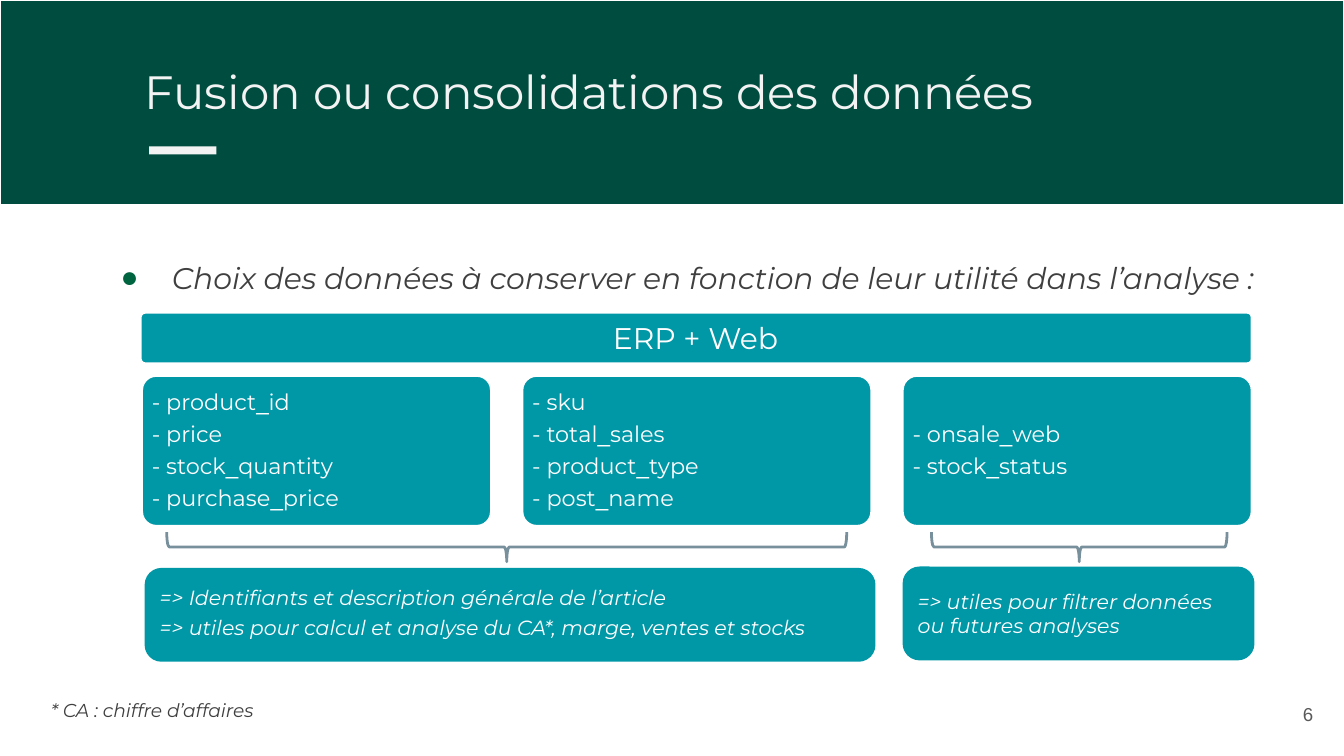
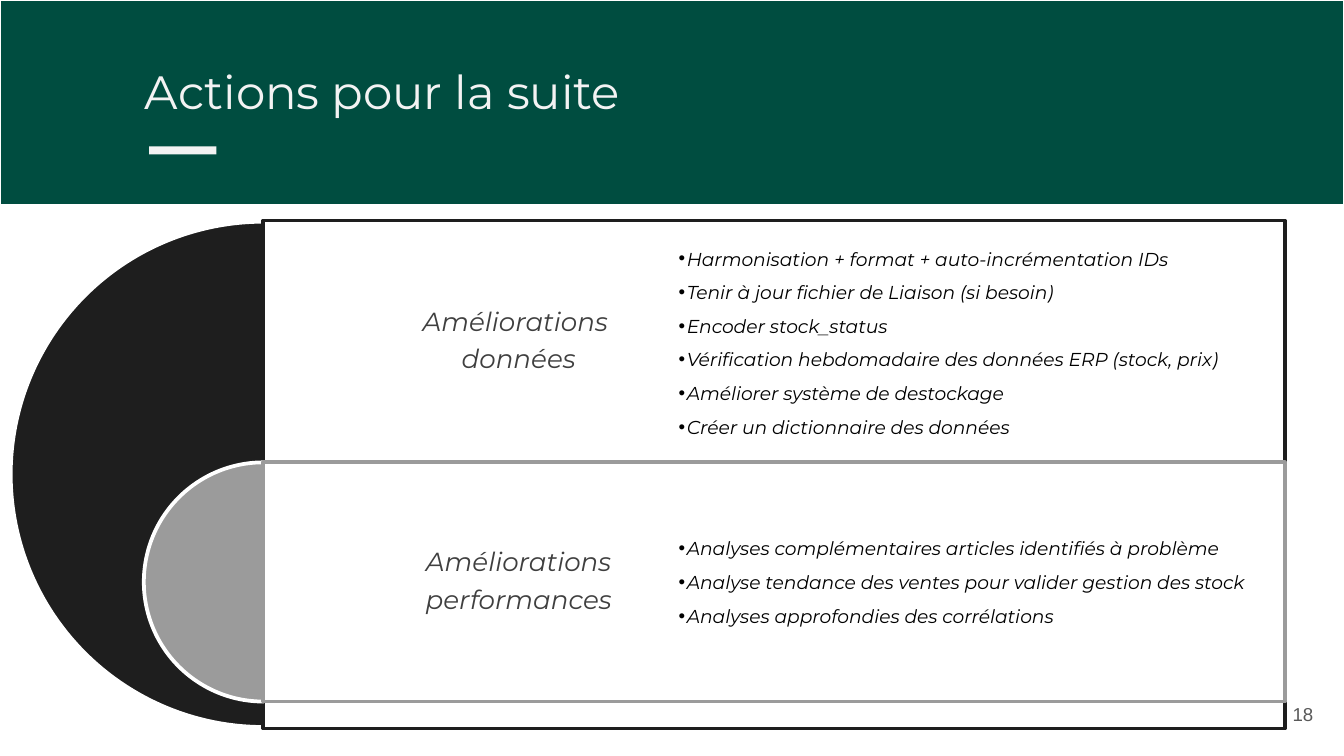
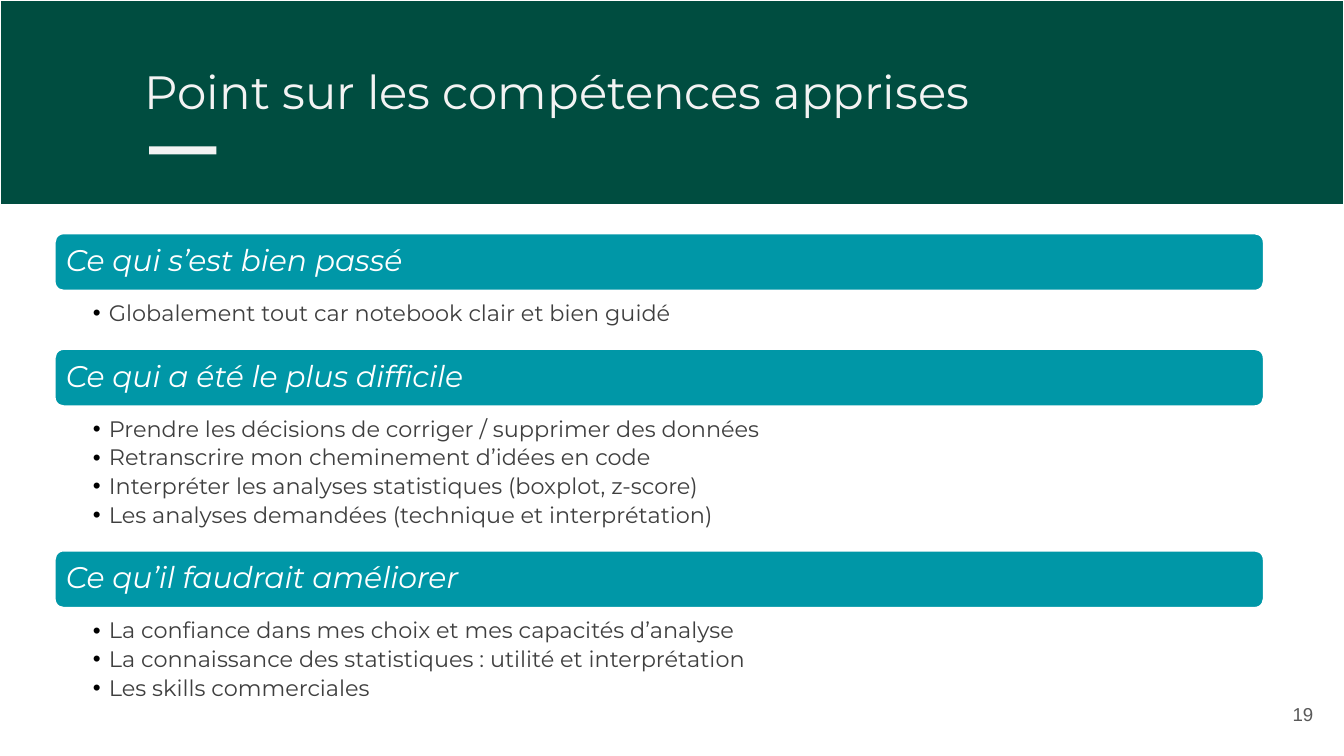
from lxml import etree
from pptx import Presentation
from pptx.dml.color import RGBColor
from pptx.enum.shapes import MSO_SHAPE
from pptx.enum.text import MSO_ANCHOR, PP_ALIGN
from pptx.oxml.ns import qn
from pptx.util import Pt

PX = 9144
WIDE = 1000
HIGH = WIDE * 9 / 16
RECT = MSO_SHAPE.RECTANGLE
ROUND = MSO_SHAPE.ROUNDED_RECTANGLE
PIE = MSO_SHAPE.PIE
BRACE = MSO_SHAPE.RIGHT_BRACE
TOP, MIDDLE = MSO_ANCHOR.TOP, MSO_ANCHOR.MIDDLE
LEFT, CENTER, RIGHT = PP_ALIGN.LEFT, PP_ALIGN.CENTER, PP_ALIGN.RIGHT

FONT, PLAIN = "Montserrat", "Arial"
GREEN, DOT, TEAL, SLATE = "004D40", "006440", "0097A7", "78909C"
WHITE, PALE, BLACK = "FFFFFF", "F3F3F3", "000000"
DARK, GREY, INK, FOOT = "1E1E1E", "9B9B9B", "3F3F3F", "595959"


def paint(hue):
    return RGBColor.from_string(hue)


def scale(box):
    return [round(side * PX) for side in box]


def draw(slide, kind, box, fill=None, line=None, width=2, adjust=(), alpha=None):
    shape = slide.shapes.add_shape(kind, *scale(box))
    shape.shadow.inherit = False
    if fill:
        shape.fill.solid()
        shape.fill.fore_color.rgb = paint(fill)
    else:
        shape.fill.background()
    if line:
        shape.line.color.rgb = paint(line)
        shape.line.width = Pt(width)
    else:
        shape.line.fill.background()
    for spot, value in enumerate(adjust):
        shape.adjustments[spot] = value
    if alpha:
        tone = shape.fill._xPr.find(".//" + qn("a:srgbClr"))
        etree.SubElement(tone, qn("a:alpha"), val=str(alpha * 1000))
    return shape


def mark(para, sign, hue, font, indent, hang):
    props = para._p.get_or_add_pPr()
    props.set("marL", str(indent * PX))
    props.set("indent", str(-hang * PX))
    tint = etree.SubElement(props, qn("a:buClr"))
    etree.SubElement(tint, qn("a:srgbClr"), val=hue)
    etree.SubElement(props, qn("a:buFont"), typeface=font)
    etree.SubElement(props, qn("a:buChar"), char=sign)


def write(slide, box, lines, size=12, hue=WHITE, font=FONT, italic=False,
          align=LEFT, anchor=TOP, pad=(10, 10, 10, 10), space=None, after=0,
          sign=None, tint=BLACK, indent=0, hang=0):
    frame = slide.shapes.add_textbox(*scale(box)).text_frame
    frame.word_wrap = True
    frame.vertical_anchor = anchor
    (frame.margin_left, frame.margin_top,
     frame.margin_right, frame.margin_bottom) = scale(pad)
    for row, line in enumerate(lines):
        para = frame.paragraphs[0] if row == 0 else frame.add_paragraph()
        if sign:
            mark(para, sign, tint, PLAIN, indent, hang)
        para.alignment = align
        para.space_after = Pt(after)
        if space:
            para.line_spacing = space
        for piece in line.replace("_", "|_|").split("|"):
            run = para.add_run()
            run.text = piece
            run.font.name = PLAIN if piece == "_" else font
            run.font.size = Pt(size)
            run.font.italic = italic
            run.font.color.rgb = paint(hue)


def start(deck, title, number):
    slide = deck.slides.add_slide(deck.slide_layouts[6])
    draw(slide, RECT, (0, 0, WIDE, 152), GREEN, WHITE, 0.75)
    write(slide, (98, 37, 932, 63), [title], size=25, hue=PALE)
    draw(slide, RECT, (111, 109, 50, 6), PALE)
    write(slide, (927, 510, 60, 43), [str(number)], size=10, hue=FOOT,
          font=PLAIN, align=RIGHT, anchor=MIDDLE)
    return slide


def card(slide, box, lines):
    x, y, w, h = box
    draw(slide, ROUND, box, TEAL, WHITE, adjust=[0.1])
    write(slide, (x + 3, y + 3, w - 6, h - 6), lines, anchor=MIDDLE,
          pad=[5] * 4, space=0.9, after=4.2)


def brace(slide, box):
    x, y, w, h = box
    turned = (x + (w - h) / 2, y + (h - w) / 2, h, w)
    draw(slide, BRACE, turned, line=SLATE, width=1.5,
         adjust=[0.083, 0.5]).rotation = 90


def note(slide, box, lines, drop):
    x, y, w, h = box
    draw(slide, ROUND, box, TEAL, TEAL)
    write(slide, (x, y + drop, w, h - 2 * drop), lines, size=11, italic=True,
          pad=(10, 5, 10, 5), after=3)


def merge(deck):
    slide = start(deck, "Fusion ou consolidations des données", 6)
    write(slide, (68, 179, 932, 374),
          ["Choix des données à conserver en fonction de leur utilité dans l’analyse :"],
          size=16, hue=INK, italic=True, space=1.15, sign="●", tint=DOT,
          indent=50, hang=38)
    write(slide, (28, 515, 692, 27), ["* CA : chiffre d’affaires"], size=10,
          hue=INK, italic=True, pad=(10, 5, 10, 5))
    draw(slide, ROUND, (104, 232, 828, 39), TEAL, WHITE, adjust=[0.1])
    write(slide, (105, 234, 825, 37), ["ERP + Web"], size=16, align=CENTER,
          anchor=MIDDLE, pad=[7] * 4, space=0.9, after=5.6)
    cards = [
        ["- product_id", "- price", "- stock_quantity", "- purchase_price"],
        ["- sku", "- total_sales", "- product_type", "- post_name"],
        ["- onsale_web", "- stock_status"],
    ]
    for column, lines in enumerate(cards):
        card(slide, (105 + 283 * column, 279, 261, 113), lines)
    brace(slide, (124, 396, 506, 22))
    brace(slide, (693, 396, 220, 22))
    note(slide, (109, 424, 541, 67),
         ["=> Identifiants et description générale de l’article",
          "=> utiles pour calcul et analyse du CA*, marge, ventes et stocks"], 6)
    note(slide, (673, 423, 259, 67),
         ["=> utiles pour filtrer données ou futures analyses"], 10)


def panel(slide, box, disc, hue, depth, label, points):
    x, y, w, h = box
    draw(slide, PIE, (x - disc / 2, y + (h - disc) / 2, disc, disc), hue, WHITE,
         adjust=[54, 162])
    draw(slide, RECT, box, WHITE, hue, alpha=90)
    write(slide, (x, y, w / 2, depth), label, size=14, hue=INK, italic=True,
          align=CENTER, anchor=MIDDLE, pad=[6] * 4, space=0.9, after=4.9)
    write(slide, (x + 282, y + depth - 178, 498, 178), points, size=10,
          hue=BLACK, italic=True, anchor=MIDDLE, pad=[27] * 4, after=6,
          sign="•", indent=6, hang=6)


def plan(deck):
    slide = start(deck, "Actions pour la suite", 18)
    panel(slide, (196, 164, 760, 378), 376, DARK, 180,
          ["Améliorations ", "données"],
          ["Harmonisation + format + auto-incrémentation IDs",
           "Tenir à jour fichier de Liaison (si besoin)",
           "Encoder stock_status",
           "Vérification hebdomadaire des données ERP (stock, prix)",
           "Améliorer système de destockage",
           "Créer un dictionnaire des données"])
    panel(slide, (196, 344, 760, 178), 178, GREY, 178,
          ["Améliorations", "performances"],
          ["Analyses complémentaires articles identifiés à problème",
           "Analyse tendance des ventes pour valider gestion des stock",
           "Analyses approfondies des corrélations"])


def topic(slide, box, title, points):
    x, y, w, h = box
    draw(slide, ROUND, box, TEAL, WHITE)
    write(slide, (x + 2, y + 2, w - 4, h - 4), [title], size=16, italic=True,
          anchor=MIDDLE, pad=[7] * 4, space=0.9, after=5.6)
    write(slide, (x, y + h + 6, w, 66), points, hue=INK, pad=(29, 2, 9, 2),
          space=0.9, after=2.4, sign="•", indent=12, hang=12)


def skills(deck):
    slide = start(deck, "Point sur les compétences apprises", 19)
    topics = [
        (173, "Ce qui s’est bien passé",
         ["Globalement tout car notebook clair et bien guidé"]),
        (259, "Ce qui a été le plus difficile",
         ["Prendre les décisions de corriger / supprimer des données",
          "Retranscrire mon cheminement d’idées en code",
          "Interpréter les analyses statistiques (boxplot, z-score)",
          "Les analyses demandées (technique et interprétation)"]),
        (409, "Ce qu’il faudrait améliorer",
         ["La confiance dans mes choix et mes capacités d’analyse",
          "La connaissance des statistiques : utilité et interprétation",
          "Les skills commerciales"]),
    ]
    for y, title, points in topics:
        topic(slide, (40, y, 901, 44), title, points)


def main():
    deck = Presentation()
    deck.slide_width, deck.slide_height = scale((WIDE, HIGH))
    merge(deck)
    plan(deck)
    skills(deck)
    deck.save("out.pptx")


if __name__ == "__main__":
    main()
